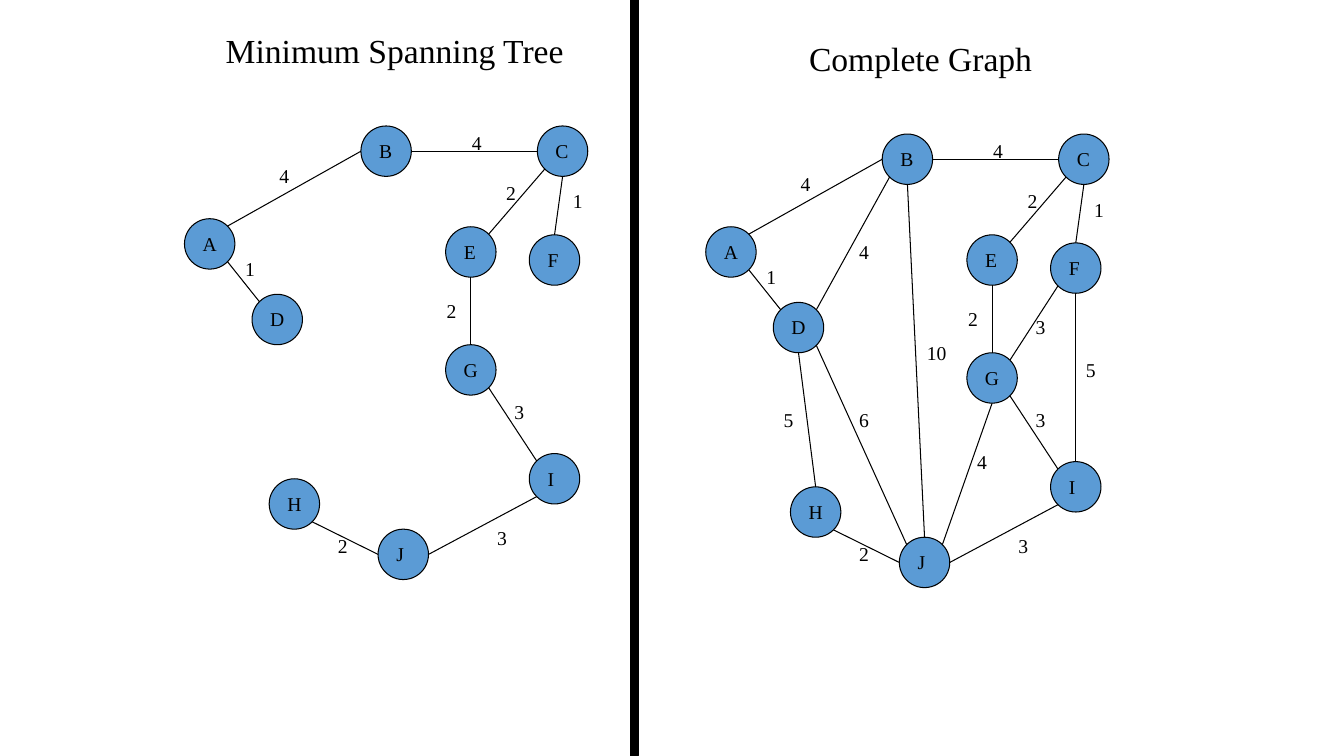
import math

from lxml import etree
from pptx import Presentation
from pptx.dml.color import RGBColor
from pptx.enum.shapes import MSO_CONNECTOR, MSO_SHAPE
from pptx.enum.text import MSO_AUTO_SIZE, PP_ALIGN
from pptx.oxml.ns import qn
from pptx.util import Inches, Pt

STRAIGHT = MSO_CONNECTOR.STRAIGHT
OVAL = MSO_SHAPE.OVAL
RECTANGLE = MSO_SHAPE.RECTANGLE
FIT_SHAPE = MSO_AUTO_SIZE.SHAPE_TO_FIT_TEXT
CENTER = PP_ALIGN.CENTER

BLACK = RGBColor(0x00, 0x00, 0x00)
NODE_BLUE = RGBColor(0x5B, 0x9B, 0xD5)
FONT = "Times New Roman"
LINE_WIDTH = Pt(0.75)

DIAMETER = 0.5
LABEL_INSET = 0.08
LABEL_HEIGHT = 0.34
TREE_OFFSET = (0, 0)
COMPLETE_OFFSET = (5.17, 0.08)

# name: left, top, label width
NODES = {
    "A": (1.83, 2.17, 0.34),
    "B": (3.58, 1.25, 0.33),
    "C": (5.33, 1.25, 0.33),
    "D": (2.5, 2.92, 0.34),
    "E": (4.42, 2.25, 0.32),
    "F": (5.25, 2.33, 0.31),
    "G": (4.42, 3.42, 0.34),
    "H": (2.67, 4.75, 0.34),
    "I": (5.25, 4.5, 0.27),
    "J": (3.75, 5.25, 0.28),
}

TREE_EDGES = [
    ("A", "NE", "B", "W", "4", 2.67, 1.58),
    ("A", "SE", "D", "NW", "1", 2.33, 2.5),
    ("B", "E", "C", "W", "4", 4.58, 1.25),
    ("C", "SW", "E", "NE", "2", 4.92, 1.75),
    ("C", "S", "F", "N", "1", 5.58, 1.83),
    ("E", "S", "G", "N", "2", 4.33, 2.92),
    ("G", "SE", "I", "NW", "3", 5, 3.92),
    ("I", "SW", "J", "E", "3", 4.83, 5.17),
    ("H", "SE", "J", "W", "2", 3.25, 5.25),
]
OTHER_EDGES = [
    ("B", "SW", "D", "NE", "4", 3.25, 2.25),
    ("B", "S", "J", "N", "10", 3.92, 3.25),
    ("D", "S", "H", "N", "5", 2.5, 3.92),
    ("D", "SE", "J", "NW", "6", 3.25, 3.92),
    ("F", "SW", "G", "NE", "3", 5, 3),
    ("F", "S", "I", "N", "5", 5.5, 3.42),
    ("G", "S", "J", "NE", "4", 4.42, 4.33),
]
COMPASS = ["E", "SE", "S", "SW", "W", "NW", "N", "NE"]


def add_filled(slide, kind, left, top, width, height, color):
    sp = slide.shapes.add_shape(
        kind, Inches(left), Inches(top), Inches(width), Inches(height))
    sp.shadow.inherit = False
    sp.fill.solid()
    sp.fill.fore_color.rgb = color
    sp.line.color.rgb = BLACK
    sp.line.width = LINE_WIDTH


def add_text(slide, text, left, top, width, height, size, wrap=False):
    box = slide.shapes.add_textbox(
        Inches(left), Inches(top), Inches(width), Inches(height))
    tf = box.text_frame
    tf.word_wrap = wrap
    tf.auto_size = FIT_SHAPE
    p = tf.paragraphs[0]
    p.text = text
    p.alignment = CENTER
    p.font.name = FONT
    p.font.size = Pt(size)
    p.font.color.rgb = BLACK
    return p


def add_title(slide, text, left, top, width):
    p = add_text(slide, text, left, top, width, 0.5, 24, wrap=True)
    p.space_before = Pt(3)


def rim_point(name, direction, dx, dy):
    left, top, _ = NODES[name]
    radius = DIAMETER / 2
    angle = COMPASS.index(direction) * math.pi / 4
    return (Inches(left + dx + radius * (1 + math.cos(angle))),
            Inches(top + dy + radius * (1 + math.sin(angle))))


def add_edge(slide, start, end):
    line = slide.shapes.add_connector(STRAIGHT, *start, *end)
    line.line.color.rgb = BLACK
    line.line.width = LINE_WIDTH
    etree.SubElement(line._element.spPr, qn("a:effectLst"))


def add_graph(slide, edges, offset):
    dx, dy = offset
    for left, top, _ in NODES.values():
        add_filled(slide, OVAL, left + dx, top + dy, DIAMETER, DIAMETER, NODE_BLUE)
    for source, leave, target, enter, weight, x, y in edges:
        add_edge(slide, rim_point(source, leave, dx, dy),
                 rim_point(target, enter, dx, dy))
        width = 0.2 + 0.1 * len(weight)
        add_text(slide, weight, x + dx, y + dy, width, LABEL_HEIGHT, 14)
    for name, (left, top, width) in NODES.items():
        add_text(slide, name, left + dx + LABEL_INSET, top + dy + LABEL_INSET,
                 width, LABEL_HEIGHT, 14)


def main():
    prs = Presentation()
    prs.slide_width = Inches(13.33)
    prs.slide_height = Inches(7.5)
    slide = prs.slides.add_slide(prs.slide_layouts[6])
    add_graph(slide, TREE_EDGES, TREE_OFFSET)
    add_filled(slide, RECTANGLE, 6.25, 0, 0.08, 7.5, BLACK)
    add_graph(slide, TREE_EDGES + OTHER_EDGES, COMPLETE_OFFSET)
    add_title(slide, "Minimum Spanning Tree", 2, 0.25, 3.83)
    add_title(slide, "Complete Graph", 7.67, 0.33, 2.92)
    prs.save("out.pptx")


if __name__ == "__main__":
    main()
